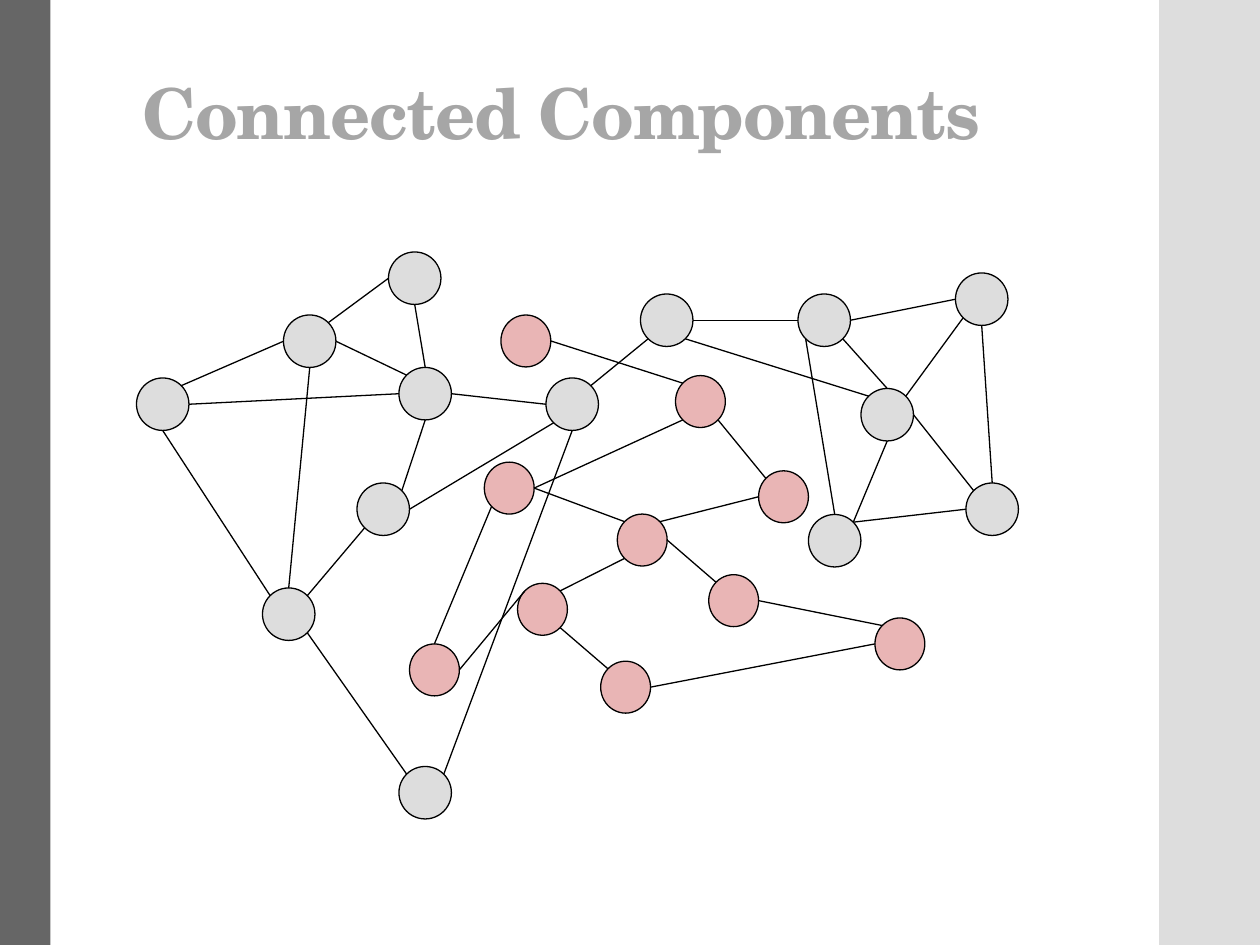
import math
from dataclasses import dataclass

import pptx
import pptx.dml.color
import pptx.enum.shapes
import pptx.enum.text
import pptx.oxml
import pptx.oxml.ns
import pptx.util

SLIDE_WIDTH, SLIDE_HEIGHT = 10, 7.5
BLACK, GREY, ROSE = "000000", "DDDDDD", "E9B5B5"
DIAGONAL = math.sqrt(0.5)
SITES = {
    "n": (0, -1), "ne": (DIAGONAL, -DIAGONAL),
    "e": (1, 0), "se": (DIAGONAL, DIAGONAL),
    "s": (0, 1), "sw": (-DIAGONAL, DIAGONAL),
    "w": (-1, 0), "nw": (-DIAGONAL, -DIAGONAL),
}


@dataclass(frozen=True)
class Grid:
    """An area in inches divided into equal columns and rows."""

    left: float
    top: float
    width: float
    height: float
    columns: int
    rows: int

    def x(self, column: float) -> int:
        """Return the horizontal position of a column."""
        return pptx.util.Inches(self.left + self.width * column / self.columns)

    def y(self, row: float) -> int:
        """Return the vertical position of a row."""
        return pptx.util.Inches(self.top + self.height * row / self.rows)


@dataclass(frozen=True)
class Component:
    """A connected graph: nodes by grid cell, edges by node and compass site."""

    grid: Grid
    node_cells: int
    color: str
    nodes: dict[str, tuple[int, int]]
    edges: str


ROSE_COMPONENT = Component(
    Grid(3.25, 2.5, 4.09, 3.16, 62, 46), 6, ROSE,
    {"a": (9, 17), "b": (0, 38), "c": (13, 31), "d": (23, 40), "e": (25, 23),
     "f": (36, 30), "g": (56, 35), "h": (42, 18), "i": (32, 7), "j": (11, 0)},
    "j.e-i.nw i.se-h.nw h.w-e.ne i.sw-a.e a.e-e.nw a.sw-b.n "
    "b.e-c.nw c.ne-e.sw c.se-d.nw d.e-g.w e.e-f.nw f.e-g.nw",
)
GREY_COMPONENT = Component(
    Grid(0, 0, SLIDE_WIDTH, SLIDE_HEIGHT, 120, 90), 5, GREY,
    {"a": (61, 28), "b": (76, 28), "c": (82, 37), "d": (91, 26), "e": (92, 46),
     "f": (77, 49), "g": (52, 36), "h": (38, 35), "i": (34, 46), "j": (37, 24),
     "k": (27, 30), "l": (25, 56), "m": (13, 36), "n": (38, 73)},
    "n.nw-l.se l.ne-i.sw l.n-k.s l.nw-m.s m.ne-k.w k.e-h.nw i.ne-h.s j.w-k.ne "
    "h.w-m.e j.s-h.n h.e-g.w g.s-n.ne i.e-g.sw a.sw-g.ne a.e-b.w b.sw-f.n "
    "b.e-d.w b.se-c.n e.n-d.s f.ne-e.w c.ne-d.sw c.s-f.ne c.e-e.nw c.nw-a.se",
)


def rgb(color: str) -> pptx.dml.color.RGBColor:
    """Turn a hex string into a colour."""
    return pptx.dml.color.RGBColor.from_string(color)


def apply_format(target, values: dict) -> None:
    """Set every attribute named in the format values."""
    for attribute, value in values.items():
        setattr(target, attribute, value)


def outline(line) -> None:
    """Give a line the thin black stroke of the graph."""
    line.color.rgb = rgb(BLACK)
    line.width = pptx.util.Pt(0.75)


def draw_side_bar(shapes, left: float, width: float, color: str) -> None:
    """Draw a full-height bar placed by shares of the slide width."""
    bar = shapes.add_shape(
        pptx.enum.shapes.MSO_SHAPE.RECTANGLE,
        pptx.util.Inches(left * SLIDE_WIDTH), 0,
        pptx.util.Inches(width * SLIDE_WIDTH), pptx.util.Inches(SLIDE_HEIGHT))
    bar.shadow.inherit = False
    bar.fill.solid()
    bar.fill.fore_color.rgb = rgb(color)
    bar.line.fill.background()


def draw_title(shapes, wording: str) -> None:
    """Write the slide title."""
    title = shapes.add_textbox(*map(pptx.util.Inches, (1.03, 0.4, 7.95, 0.88)))
    apply_format(title.text_frame, {
        "word_wrap": True, "vertical_anchor": pptx.enum.text.MSO_ANCHOR.BOTTOM})
    paragraph = title.text_frame.paragraphs[0]
    paragraph.line_spacing = 0.9
    run = paragraph.add_run()
    run.text = wording
    apply_format(run.font, {
        "name": "TeX Gyre Schola", "size": pptx.util.Pt(40), "bold": True})
    run.font.color.rgb = rgb("A6A6A6")
    run.font._element.set("spc", "-70")


def draw_node(shapes, component: Component, column: int, row: int) -> None:
    """Draw one node as a circle in its grid cell."""
    grid, cells = component.grid, component.node_cells
    left, top = grid.x(column), grid.y(row)
    node = shapes.add_shape(
        pptx.enum.shapes.MSO_SHAPE.OVAL, left, top,
        grid.x(column + cells) - left, grid.y(row + cells) - top)
    node.shadow.inherit = False
    node.fill.solid()
    node.fill.fore_color.rgb = rgb(component.color)
    outline(node.line)


def site_position(component: Component, end: str) -> tuple[int, int]:
    """Find the rim point of a node written as name.site."""
    name, site = end.split(".")
    column, row = component.nodes[name]
    across, down = SITES[site]
    radius = component.node_cells / 2
    return (component.grid.x(column + radius * (1 + across)),
            component.grid.y(row + radius * (1 + down)))


def draw_edge(shapes, component: Component, edge: str) -> None:
    """Draw one edge between two rim points."""
    start, finish = (site_position(component, end) for end in edge.split("-"))
    connector = shapes.add_connector(
        pptx.enum.shapes.MSO_CONNECTOR.STRAIGHT, *start, *finish)
    outline(connector.line)
    connector._element.spPr.append(
        pptx.oxml.parse_xml(f"<a:effectLst {pptx.oxml.ns.nsdecls('a')}/>"))


def draw_component(shapes, component: Component) -> None:
    """Draw the nodes of a component and then its edges."""
    for column, row in component.nodes.values():
        draw_node(shapes, component, column, row)
    for edge in component.edges.split():
        draw_edge(shapes, component, edge)


def main() -> None:
    """Build and save the slide."""
    presentation = pptx.Presentation()
    apply_format(presentation, {
        "slide_width": pptx.util.Inches(SLIDE_WIDTH),
        "slide_height": pptx.util.Inches(SLIDE_HEIGHT)})
    shapes = presentation.slides.add_slide(presentation.slide_layouts[6]).shapes
    draw_side_bar(shapes, 0.92, 0.08, GREY)
    draw_side_bar(shapes, 0, 0.04, "666666")
    draw_title(shapes, "Connected Components")
    draw_component(shapes.add_group_shape().shapes, ROSE_COMPONENT)
    draw_component(shapes, GREY_COMPONENT)
    presentation.save("out.pptx")


if __name__ == "__main__":
    main()
